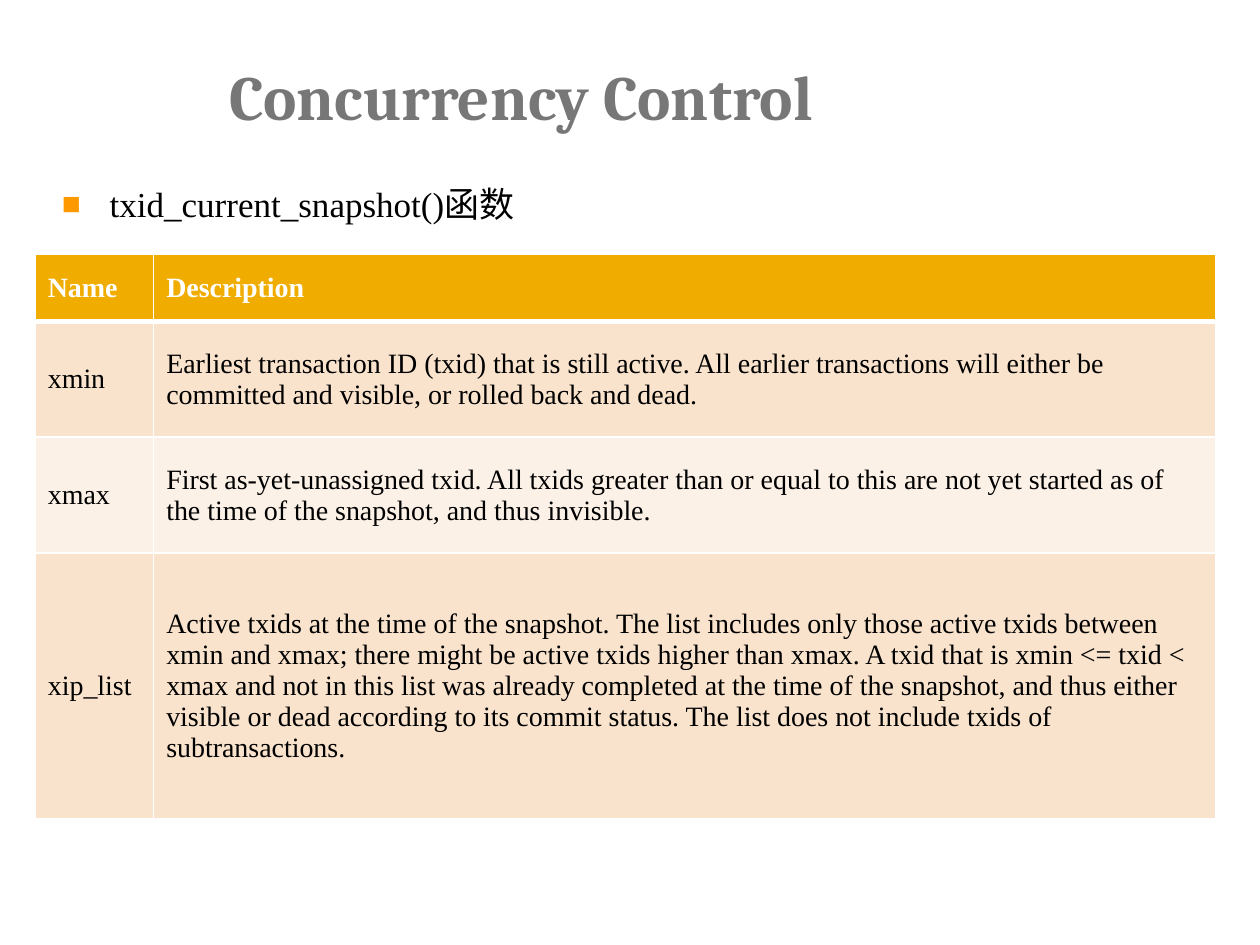
from lxml.etree import SubElement
from pptx import Presentation
from pptx.dml.color import RGBColor as Rgb
from pptx.enum.text import MSO_ANCHOR as Anchor, MSO_AUTO_SIZE as AutoSize, PP_ALIGN as Align
from pptx.oxml.ns import qn
from pptx.util import Inches, Pt

COLORS = {
    "title": "777777", "text": "000000", "bullet": "FF9900",
    "header": "F0AD00", "header_text": "FFFFFF", "border": "FFFFFF",
    "band_dark": "F9E3CC", "band_light": "FCF1E7",
}
SERIF = "Times New Roman"
FONTS = {
    "title": {"name": "Cambria", "size": Pt(36), "bold": True},
    "body": {"name": SERIF, "size": Pt(20), "bold": False},
    "header": {"name": SERIF, "size": Pt(16), "bold": True},
    "cell": {"name": SERIF, "size": Pt(16), "bold": False},
}
COLUMN_WIDTHS = (0.94, 8.43)
ROW_HEIGHTS = (0.53, 0.92, 0.92, 2.11)
SNAPSHOT_FIELDS = (
    ("Name", "Description"),
    ("xmin", "Earliest transaction ID (txid) that is still active. All earlier "
             "transactions will either be committed and visible, or rolled back and dead."),
    ("xmax", "First as-yet-unassigned txid. All txids greater than or equal to this "
             "are not yet started as of the time of the snapshot, and thus invisible."),
    ("xip_list", "Active txids at the time of the snapshot. The list includes only those "
                 "active txids between xmin and xmax; there might be active txids higher "
                 "than xmax. A txid that is xmin <= txid < xmax and not in this list was "
                 "already completed at the time of the snapshot, and thus either visible "
                 "or dead according to its commit status. The list does not include txids "
                 "of subtransactions."),
)


def apply(target, values):
    for name, value in values.items():
        setattr(target, name, value)


def write(frame, text, font, color):
    paragraph = frame.paragraphs[0]
    run = paragraph.add_run()
    run.text = text
    apply(run.font, FONTS[font])
    run.font.color.rgb = Rgb.from_string(COLORS[color])
    paragraph.alignment = Align.LEFT
    return paragraph


def fill_placeholder(holder, box, text, font, color, anchor):
    apply(holder, dict(zip(("left", "top", "width", "height"), map(Inches, box))))
    apply(holder.text_frame, {"auto_size": AutoSize.NONE, "word_wrap": True,
                              "vertical_anchor": anchor})
    return write(holder.text_frame, text, font, color)


def add_bullet(paragraph):
    apply(paragraph, {"line_spacing": 1.2, "space_before": Pt(4)})
    props = paragraph._p.get_or_add_pPr()
    indent = Inches(0.38)
    props.set("marL", str(indent))
    props.set("indent", str(-indent))
    tint = SubElement(props, qn("a:buClr"))
    SubElement(tint, qn("a:srgbClr"), val=COLORS["bullet"])
    SubElement(props, qn("a:buSzPct"), val="90000")
    SubElement(props, qn("a:buChar"), char="■")


def add_borders(cell, is_header):
    widths = {"L": 1, "R": 1, "T": 1, "B": 3} if is_header else {"L": 1, "R": 1, "B": 1}
    props = cell._tc.get_or_add_tcPr()
    for side, width in widths.items():
        line = SubElement(props, qn(f"a:ln{side}"), w=str(Pt(width)))
        paint = SubElement(line, qn("a:solidFill"))
        SubElement(paint, qn("a:srgbClr"), val=COLORS["border"])


def format_cell(cell, text, row):
    is_header = row == 0
    band = "header" if is_header else ("band_light", "band_dark")[row % 2]
    cell.vertical_anchor = Anchor.MIDDLE
    add_borders(cell, is_header)
    cell.fill.solid()
    cell.fill.fore_color.rgb = Rgb.from_string(COLORS[band])
    write(cell.text_frame, text, "header" if is_header else "cell",
          "header_text" if is_header else "text")


def add_field_table(slide):
    table = slide.shapes.add_table(
        len(ROW_HEIGHTS), len(COLUMN_WIDTHS), Inches(0.28), Inches(2.02),
        Inches(sum(COLUMN_WIDTHS)), Inches(sum(ROW_HEIGHTS))).table
    for column, width in zip(table.columns, COLUMN_WIDTHS):
        column.width = Inches(width)
    for row, height in zip(table.rows, ROW_HEIGHTS):
        row.height = Inches(height)
    for row, texts in enumerate(SNAPSHOT_FIELDS):
        for column, text in enumerate(texts):
            format_cell(table.cell(row, column), text, row)


def main():
    deck = Presentation()
    apply(deck, {"slide_width": Inches(10), "slide_height": Inches(7.5)})
    slide = deck.slides.add_slide(deck.slide_layouts[1])
    title, body = slide.placeholders
    fill_placeholder(title, (1.72, 0.4, 7.78, 0.71), "Concurrency Control",
                     "title", "title", Anchor.MIDDLE)
    add_bullet(fill_placeholder(body, (0.39, 1.33, 9.11, 5.47),
                                "txid_current_snapshot()函数", "body", "text", Anchor.TOP))
    add_field_table(slide)
    deck.save("out.pptx")


if __name__ == "__main__":
    main()
